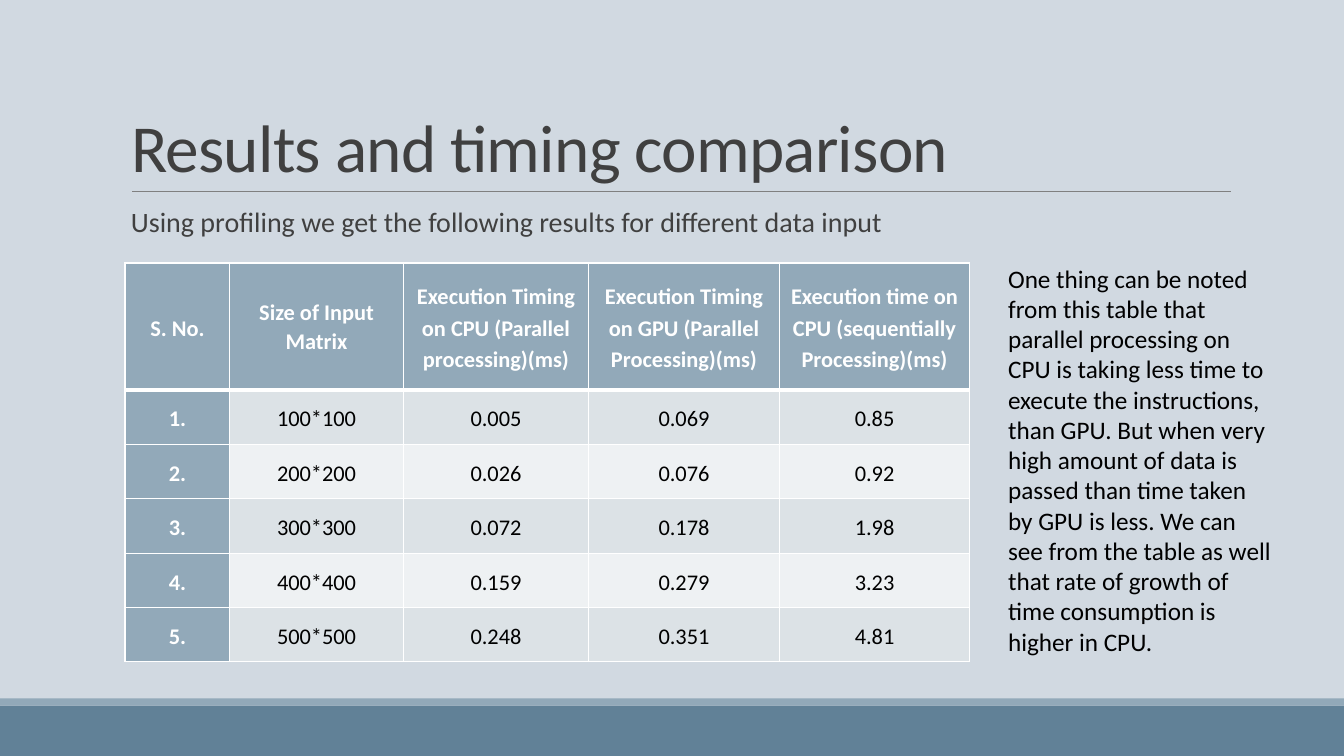
from lxml import etree
from pptx import Presentation
from pptx.dml.color import RGBColor
from pptx.enum.shapes import MSO_CONNECTOR, MSO_SHAPE
from pptx.enum.text import MSO_ANCHOR, MSO_AUTO_SIZE, PP_ALIGN
from pptx.oxml.ns import qn
from pptx.util import Inches, Pt

RECT, STRAIGHT = MSO_SHAPE.RECTANGLE, MSO_CONNECTOR.STRAIGHT
MIDDLE, BOTTOM = MSO_ANCHOR.MIDDLE, MSO_ANCHOR.BOTTOM
LEFT, CENTER = PP_ALIGN.LEFT, PP_ALIGN.CENTER
NO_FIT = MSO_AUTO_SIZE.NONE

FONT = "Calibri"
COLORS = {
    "background": "D1D9E1", "footer": "618197", "accent": "92A9B9",
    "rule": "808080", "heading": "404040", "black": "000000",
    "white": "FFFFFF", "odd": "DCE2E6", "even": "EEF1F3",
}
TITLE = "Results and timing comparison"
INTRO = "Using profiling we get the following results for different data input"
NOTE = (
    "One thing can be noted from this table that parallel processing on CPU "
    "is taking less time to execute the instructions, than GPU. But when very "
    "high amount of data is passed than time taken by GPU is less. We can see "
    "from the table as well that rate of growth of time consumption is higher "
    "in CPU."
)
ROWS = [
    ("S. No.", "Size of Input Matrix",
     "Execution Timing on CPU (Parallel processing)(ms)",
     "Execution Timing on GPU (Parallel Processing)(ms)",
     "Execution time on CPU (sequentially Processing)(ms)"),
    ("1.", "100*100", "0.005", "0.069", "0.85"),
    ("2.", "200*200", "0.026", "0.076", "0.92"),
    ("3.", "300*300", "0.072", "0.178", "1.98"),
    ("4.", "400*400", "0.159", "0.279", "3.23"),
    ("5.", "500*500", "0.248", "0.351", "4.81"),
]
COL_WIDTHS = [1.04, 1.72, 1.84, 1.89, 1.89]
ROW_HEIGHTS = [1.26, 0.54, 0.54, 0.54, 0.54, 0.53]
BANDS = [(7, 0.5, "footer"), (6.93, 0.07, "accent")]


def rgb(name):
    return RGBColor.from_string(COLORS[name])


def write(tf, text, size, color, bold=False, align=LEFT, spacing=1.0):
    tf.word_wrap = True
    p = tf.paragraphs[0]
    p.text = text
    p.alignment, p.line_spacing = align, spacing
    p.font.name, p.font.size, p.font.bold = FONT, Pt(size), bold
    p.font.color.rgb = rgb(color)
    return p


def add_text(slide, box, text, size, color, spacing=1.0):
    tb = slide.shapes.add_textbox(*map(Inches, box))
    write(tb.text_frame, text, size, color, spacing=spacing)


def set_borders(cell, row):
    """Draw white cell borders, thicker between the header and the data."""
    tc_pr = cell._tc.get_or_add_tcPr()
    for side in "LRTB":
        thick = (row, side) in ((0, "B"), (1, "T"))
        ln = etree.SubElement(tc_pr, qn(f"a:ln{side}"), w=str(Pt(3 if thick else 1)))
        fill = etree.SubElement(ln, qn("a:solidFill"))
        etree.SubElement(fill, qn("a:srgbClr"), val=COLORS["white"])


def add_results(slide):
    frame = slide.shapes.add_table(
        len(ROWS), len(COL_WIDTHS), Inches(1.24), Inches(2.61),
        Inches(sum(COL_WIDTHS)), Inches(sum(ROW_HEIGHTS)))
    table = frame.table
    table.first_col = True
    for column, width in zip(table.columns, COL_WIDTHS):
        column.width = Inches(width)
    for row, height in zip(table.rows, ROW_HEIGHTS):
        row.height = Inches(height)
    for i, values in enumerate(ROWS):
        for j, value in enumerate(values):
            cell = table.cell(i, j)
            head = i == 0 or j == 0
            spacing = 1.07 if (i, j) == (0, 1) else 1.15
            write(cell.text_frame, value, 16, "white" if head else "black",
                  head, CENTER, spacing)
            cell.vertical_anchor = MIDDLE
            cell.margin_left = cell.margin_right = Inches(0.07)
            cell.margin_top = cell.margin_bottom = 0
            set_borders(cell, i)
            cell.fill.solid()
            cell.fill.fore_color.rgb = rgb(
                "accent" if head else "odd" if i % 2 else "even")


def main():
    prs = Presentation()
    prs.slide_width, prs.slide_height = Inches(13.33), Inches(7.5)
    slide = prs.slides.add_slide(prs.slide_layouts[5])
    slide.background.fill.solid()
    slide.background.fill.fore_color.rgb = rgb("background")

    for top, height, color in BANDS:
        sp = slide.shapes.add_shape(
            RECT, 0, Inches(top), prs.slide_width, Inches(height))
        sp.shadow.inherit = False
        sp.fill.solid()
        sp.fill.fore_color.rgb = rgb(color)
        sp.line.fill.background()

    rule = slide.shapes.add_connector(
        STRAIGHT, Inches(1.31), Inches(1.9), Inches(12.21), Inches(1.9))
    rule.line.color.rgb = rgb("rule")
    rule.line.width = Pt(0.5)
    etree.SubElement(rule._element.spPr, qn("a:effectLst"))

    title = slide.shapes.title
    title.left, title.top = Inches(1.2), Inches(0.31)
    title.width, title.height = Inches(11), Inches(1.59)
    tf = title.text_frame
    tf.auto_size, tf.vertical_anchor = NO_FIT, BOTTOM
    p = write(tf, TITLE, 48, "heading", spacing=0.85)
    p.runs[0]._r.get_or_add_rPr().set("spc", "-50")

    add_text(slide, (1.2, 2.02, 11, 4.4), INTRO, 20, "heading", 0.9)
    add_results(slide)
    add_text(slide, (9.9, 2.56, 2.85, 4.04), NOTE, 18, "black")
    prs.save("out.pptx")


if __name__ == "__main__":
    main()
